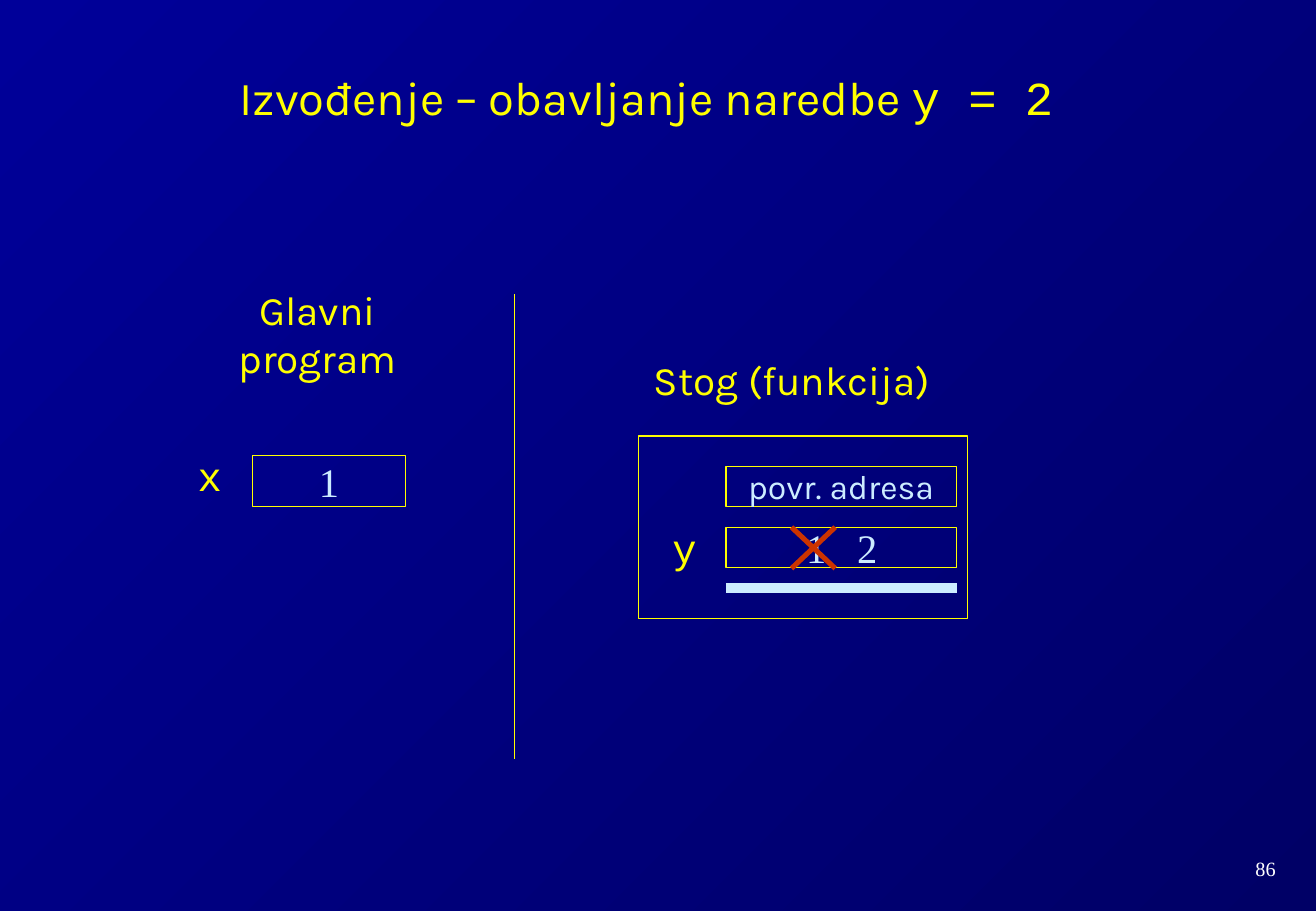
from pptx import Presentation
from pptx.dml.color import RGBColor
from pptx.enum.shapes import MSO_CONNECTOR, MSO_SHAPE
from pptx.enum.text import MSO_ANCHOR, PP_ALIGN
from pptx.oxml import parse_xml
from pptx.oxml.ns import nsdecls, qn
from pptx.util import Pt
from lxml.etree import SubElement

PX = 9144  # 100 px to the inch
COLORS = {"yellow": "FFFF00", "ice": "CCECFF", "red": "CC3300",
          "white": "FFFFFF", "navy": "000066", "blue": "000099"}
RGB = {name: RGBColor.from_string(value) for name, value in COLORS.items()}
KARLA, COURIER, TIMES = "Karla", "Courier New", "Times New Roman"

prs = Presentation()
prs.slide_width, prs.slide_height = 1084 * PX, 750 * PX
s = prs.slides.add_slide(prs.slide_layouts[6])

# Background
fill = s.background.fill
fill.gradient()
fill.gradient_angle = 135
for stop, color in zip(fill.gradient_stops, ("navy", "blue")):
    stop.color.rgb = RGB[color]


def write(sp, text, font, size, color, wrap=False):
    tf = sp.text_frame
    tf.word_wrap = wrap
    tf.vertical_anchor = MSO_ANCHOR.MIDDLE
    tf.text = text
    p = tf.paragraphs[0]
    p.alignment = PP_ALIGN.CENTER
    r = p.runs[0]
    r.font.name, r.font.size, r.font.color.rgb = font, Pt(size), RGB[color]
    return tf


# Title
sp = s.shapes.add_textbox(54 * PX, 25 * PX, 957 * PX, 83 * PX)
tf = write(sp, "Izvođenje – obavljanje naredbe ", KARLA, 28, "yellow", True)
tf.vertical_anchor = MSO_ANCHOR.BOTTOM
r = tf.paragraphs[0].add_run()
r.text = "y = 2"
r.font.name, r.font.size, r.font.color.rgb = COURIER, Pt(28), RGB["yellow"]

# Labels and slide number
for text, x, y, w, h, font, size, color in (
    ("Glavni program", 135, 258, 253, 33, KARLA, 24, "yellow"),
    ("Stog (funkcija)", 526, 296, 253, 33, KARLA, 24, "yellow"),
    ("x", 153, 375, 36, 33, COURIER, 24, "yellow"),
    ("y", 544, 434, 36, 33, COURIER, 24, "yellow"),
    ("86", 1002, 700, 81, 30, TIMES, 12, "white"),
):
    sp = s.shapes.add_textbox(x * PX, y * PX, w * PX, h * PX)
    write(sp, text, font, size, color)

# Memory cells and the stack frame
for text, x, y, w, h, font, size in (
    ("1", 208, 375, 126, 42, TIMES, 24),
    ("", 526, 359, 271, 150, None, None),
    ("povr. adresa", 598, 384, 190, 33, KARLA, 20),
    ("1\t2", 598, 434, 190, 33, TIMES, 24),
):
    sp = s.shapes.add_shape(MSO_SHAPE.RECTANGLE, x * PX, y * PX, w * PX, h * PX)
    sp.shadow.inherit = False
    sp.fill.background()
    sp.line.color.rgb, sp.line.width = RGB["yellow"], Pt(0.75)
    if text:
        tf = write(sp, text, font, size, "ice")

# Old and new value of y, set apart by a tab stop
tf.word_wrap = True
tf.margin_left = 66 * PX
p = tf.paragraphs[0]
p.alignment = PP_ALIGN.LEFT
p._p.get_or_add_pPr().append(parse_xml(
    f'<a:tabLst {nsdecls("a")}><a:tab pos="{42 * PX}" algn="l"/></a:tabLst>'))

# Divider, stack bottom and the cross over the old value
for x1, y1, x2, y2, color, width in (
    (424, 242, 424, 625, "yellow", 0.75),
    (598, 484, 788, 484, "ice", 6),
    (652, 434, 688, 468, "red", 3),
    (652, 468, 688, 434, "red", 3),
):
    line = s.shapes.add_connector(MSO_CONNECTOR.STRAIGHT,
                                  x1 * PX, y1 * PX, x2 * PX, y2 * PX)
    line.line.color.rgb, line.line.width = RGB[color], Pt(width)
    SubElement(line._element.spPr, qn("a:effectLst"))

prs.save("out.pptx")
